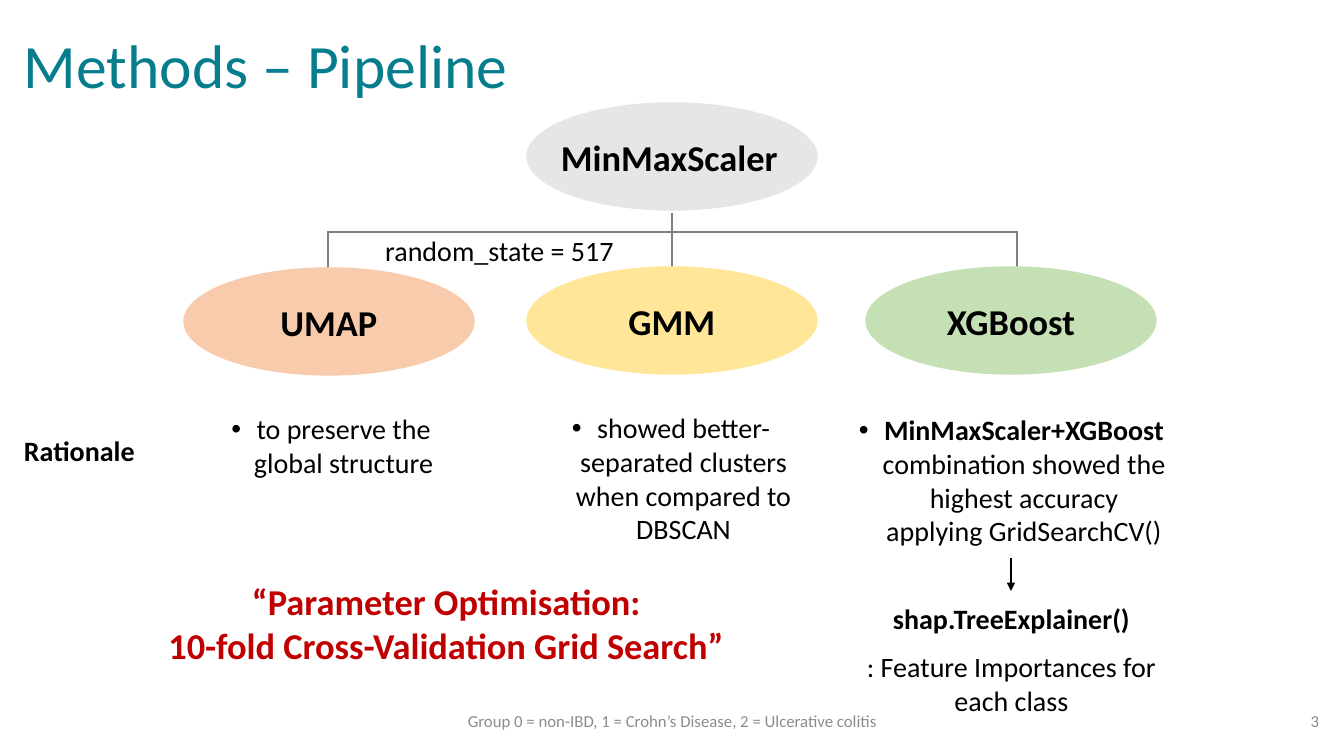
from lxml import etree
from pptx import Presentation
from pptx import util as u
from pptx.dml.color import RGBColor
from pptx.enum import shapes, text
from pptx.oxml.ns import qn

EMU_PER_PX = 914400 / 100.8
FONT = "Calibri"
BLACK, GREY, LINE_GREY, RED, TEAL = "000000", "8C8C8C", "808080", "C00000", "067D8D"
CENTER, RIGHT = text.PP_ALIGN.CENTER, text.PP_ALIGN.RIGHT
MIDDLE = text.MSO_ANCHOR.MIDDLE
STRAIGHT, ELBOW = shapes.MSO_CONNECTOR.STRAIGHT, shapes.MSO_CONNECTOR.ELBOW

NODE_SIZE = (290, 107)
SCALER = ((527, 103), "E7E6E6")
STEPS = {
    "UMAP": ((184, 268), "F8CBAD"),
    "GMM": ((527, 267), "FFE699"),
    "XGBoost": ((866, 267), "C5E0B4"),
}
BRANCHES = [((327, 267), (1018, 232)), ((1018, 267), (327, 232))]
RATIONALES = [
    ((191, 407, 280, 76), [("to preserve the global structure", False)]),
    ((531, 406, 280, 141), [("showed better-separated clusters when compared to DBSCAN", False)]),
    ((847, 408, 329, 141), [
        ("MinMaxScaler+XGBoost ", True),
        ("combination showed the highest accuracy applying GridSearchCV()", False),
    ]),
]
LABELS = [
    ((14, 15, 1315, 107), ["Methods – Pipeline"],
     dict(size=44, color=TEAL, anchor=MIDDLE, spacing=0.9)),
    ((551, 130, 266, 54), ["MinMaxScaler"], dict(size=26, bold=True)),
    ((14, 429, 208, 40), ["Rationale"], dict(bold=True)),
    ((371, 229, 257, 40), ["random_state = 517"], dict(align=CENTER)),
    ((30, 574, 833, 99),
     ["“Parameter Optimisation:", "10-fold Cross-Validation Grid Search”"],
     dict(size=26, bold=True, color=RED, align=CENTER)),
    ((847, 597, 329, 141),
     [[("shap.TreeExplainer()", True)], [(": Feature Importances for each class", False)]],
     dict(align=CENTER, before=10)),
    ((68, 701, 1209, 40), ["Group 0 = non-IBD, 1 = Crohn’s Disease, 2 = Ulcerative colitis"],
     dict(size=12, color=GREY, align=CENTER, anchor=MIDDLE)),
    ((1289, 701, 40, 40), ["3"], dict(size=12, color=GREY, align=RIGHT, anchor=MIDDLE)),
]


def px(*lengths):
    return [u.Emu(round(length * EMU_PER_PX)) for length in lengths]


def rgb(value):
    return RGBColor.from_string(value)


def write(shape, paragraphs, size=20, color=BLACK, bold=False, align=None,
          anchor=text.MSO_ANCHOR.TOP, spacing=None, before=0, bullet=False):
    frame = shape.text_frame
    frame.word_wrap = True
    frame.vertical_anchor = anchor
    for index, content in enumerate(paragraphs):
        para = frame.add_paragraph() if index else frame.paragraphs[0]
        para.alignment = align
        if spacing:
            para.line_spacing = spacing
        if index and before:
            para.space_before = u.Pt(before)
        if bullet:
            props = para._p.get_or_add_pPr()
            indent = u.Inches(0.25)
            props.set("marL", str(indent))
            props.set("indent", str(-indent))
            etree.SubElement(props, qn("a:buFont"), typeface="Arial")
            etree.SubElement(props, qn("a:buChar"), char="•")
        spans = [(content, bold)] if isinstance(content, str) else content
        for words, heavy in spans:
            span = para.add_run()
            span.text = words
            span.font.name = FONT
            span.font.size = u.Pt(size)
            span.font.bold = heavy
            span.font.color.rgb = rgb(color)


def add_label(page, place, paragraphs, **style):
    write(page.shapes.add_textbox(*px(*place)), paragraphs, **style)


def add_node(page, corner, color):
    node = page.shapes.add_shape(shapes.MSO_SHAPE.FLOWCHART_CONNECTOR,
                                 *px(*corner, *NODE_SIZE))
    node.shadow.inherit = False
    node.fill.solid()
    node.fill.fore_color.rgb = rgb(color)
    node.line.color.rgb = rgb(color)
    node.line.width = u.Pt(1)
    return node


def add_line(page, kind, start, end, color):
    line = page.shapes.add_connector(kind, *px(*start, *end))
    line.line.color.rgb = rgb(color)
    line.line.width = u.Pt(1.5)
    etree.SubElement(line._element.spPr, qn("a:effectLst"))
    return line


def main():
    deck = Presentation()
    deck.slide_width, deck.slide_height = px(1344, 756)
    page = deck.slides.add_slide(deck.slide_layouts[6])

    trunk = add_line(page, STRAIGHT, (672, 213), (672, 267), LINE_GREY)
    for start, end in BRANCHES:
        branch = add_line(page, ELBOW, start, end, LINE_GREY)
        guides = branch._element.spPr.find(qn("a:prstGeom")).find(qn("a:avLst"))
        etree.SubElement(guides, qn("a:gd"), name="adj1", fmla="val 200")

    add_node(page, *SCALER)
    for name, (corner, color) in STEPS.items():
        node = add_node(page, corner, color)
        write(node, [name], size=26, bold=True, align=CENTER, anchor=MIDDLE)
        if name == "GMM":
            trunk.end_connect(node, 0)

    for place, spans in RATIONALES:
        add_label(page, place, [spans], align=CENTER, bullet=True)
    for place, paragraphs, style in LABELS:
        add_label(page, place, paragraphs, **style)

    arrow = add_line(page, STRAIGHT, (1011, 558), (1011, 591), BLACK)
    etree.SubElement(arrow.line._get_or_add_ln(), qn("a:tailEnd"), type="triangle")

    deck.save("out.pptx")


if __name__ == "__main__":
    main()
